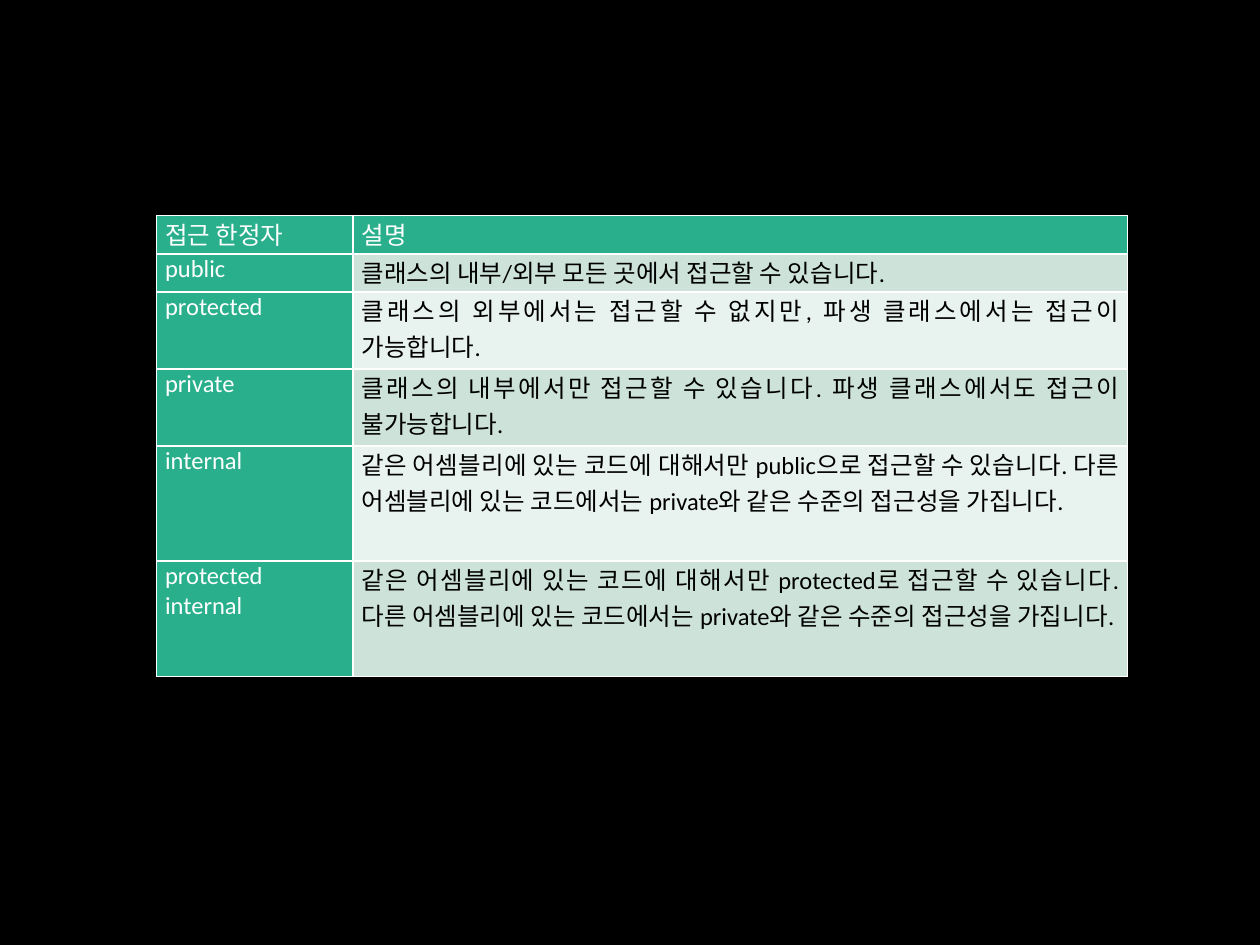
from dataclasses import dataclass

from lxml.etree import SubElement
from pptx import Presentation
from pptx.dml.color import RGBColor
from pptx.enum.text import PP_ALIGN
from pptx.oxml.ns import qn
from pptx.util import Inches, Pt


@dataclass(frozen=True)
class Theme:
    background: str = "000000"
    accent: str = "29AF8C"
    bands: tuple = ("CDE3DA", "E8F2EE")
    light: str = "FFFFFF"
    dark: str = "000000"
    font: str = "Calibri"
    size: int = 14
    border: int = 1


THEME = Theme()
COLUMNS = (1.56, 6.15)
LINE_HEIGHT = 0.305
CELL_FORMAT = {
    "margin_left": Inches(0.07),
    "margin_right": Inches(0.07),
    "margin_top": 0,
    "margin_bottom": 0,
}

# Each row: lines of text, modifier, description
ROWS = (
    (1, "접근 한정자", "설명"),
    (1, "public", "클래스의 내부/외부 모든 곳에서 접근할 수 있습니다."),
    (2, "protected",
     "클래스의 외부에서는 접근할 수 없지만, 파생 클래스에서는 접근이 가능합니다."),
    (2, "private",
     "클래스의 내부에서만 접근할 수 있습니다. 파생 클래스에서도 접근이 불가능합니다."),
    (3, "internal",
     "같은 어셈블리에 있는 코드에 대해서만 public으로 접근할 수 있습니다. "
     "다른 어셈블리에 있는 코드에서는 private와 같은 수준의 접근성을 가집니다."),
    (3, "protected internal",
     "같은 어셈블리에 있는 코드에 대해서만 protected로 접근할 수 있습니다. "
     "다른 어셈블리에 있는 코드에서는 private와 같은 수준의 접근성을 가집니다."),
)


def add_borders(cell):
    tc_pr = cell._tc.get_or_add_tcPr()
    for i, side in enumerate(("lnL", "lnR", "lnT", "lnB")):
        ln = SubElement(tc_pr, qn(f"a:{side}"), w=str(Pt(THEME.border)))
        fill = SubElement(ln, qn("a:solidFill"))
        SubElement(fill, qn("a:srgbClr"), val=THEME.light)
        tc_pr.remove(ln)
        tc_pr.insert(i, ln)  # borders precede the fill


def fill_cell(cell, text, fill, color):
    for name, value in CELL_FORMAT.items():
        setattr(cell, name, value)
    cell.fill.solid()
    cell.fill.fore_color.rgb = RGBColor.from_string(fill)
    add_borders(cell)
    p = cell.text_frame.paragraphs[0]
    p.alignment = PP_ALIGN.JUSTIFY
    r = p.add_run()
    r.text = text
    for name, value in {"name": THEME.font, "size": Pt(THEME.size), "bold": False}.items():
        setattr(r.font, name, value)
    r.font.color.rgb = RGBColor.from_string(color)


def add_modifier_table(s, left, top, width, height):
    table = s.shapes.add_table(len(ROWS), len(COLUMNS), left, top, width, height).table
    for column, w in zip(table.columns, COLUMNS):
        column.width = Inches(w)
    for i, (lines, *texts) in enumerate(ROWS):
        table.rows[i].height = Inches(lines * LINE_HEIGHT)
        for j, text in enumerate(texts):
            if i == 0 or j == 0:
                fill, color = THEME.accent, THEME.light
            else:
                fill, color = THEME.bands[(i - 1) % 2], THEME.dark
            fill_cell(table.cell(i, j), text, fill, color)


def main():
    prs = Presentation()
    prs.slide_width, prs.slide_height = Inches(10), Inches(7.5)
    s = prs.slides.add_slide(prs.slide_layouts[6])
    s.background.fill.solid()
    s.background.fill.fore_color.rgb = RGBColor.from_string(THEME.background)
    add_modifier_table(s, Inches(1.24), Inches(1.71), Inches(sum(COLUMNS)), Inches(3.66))
    prs.save("out.pptx")


if __name__ == "__main__":
    main()
